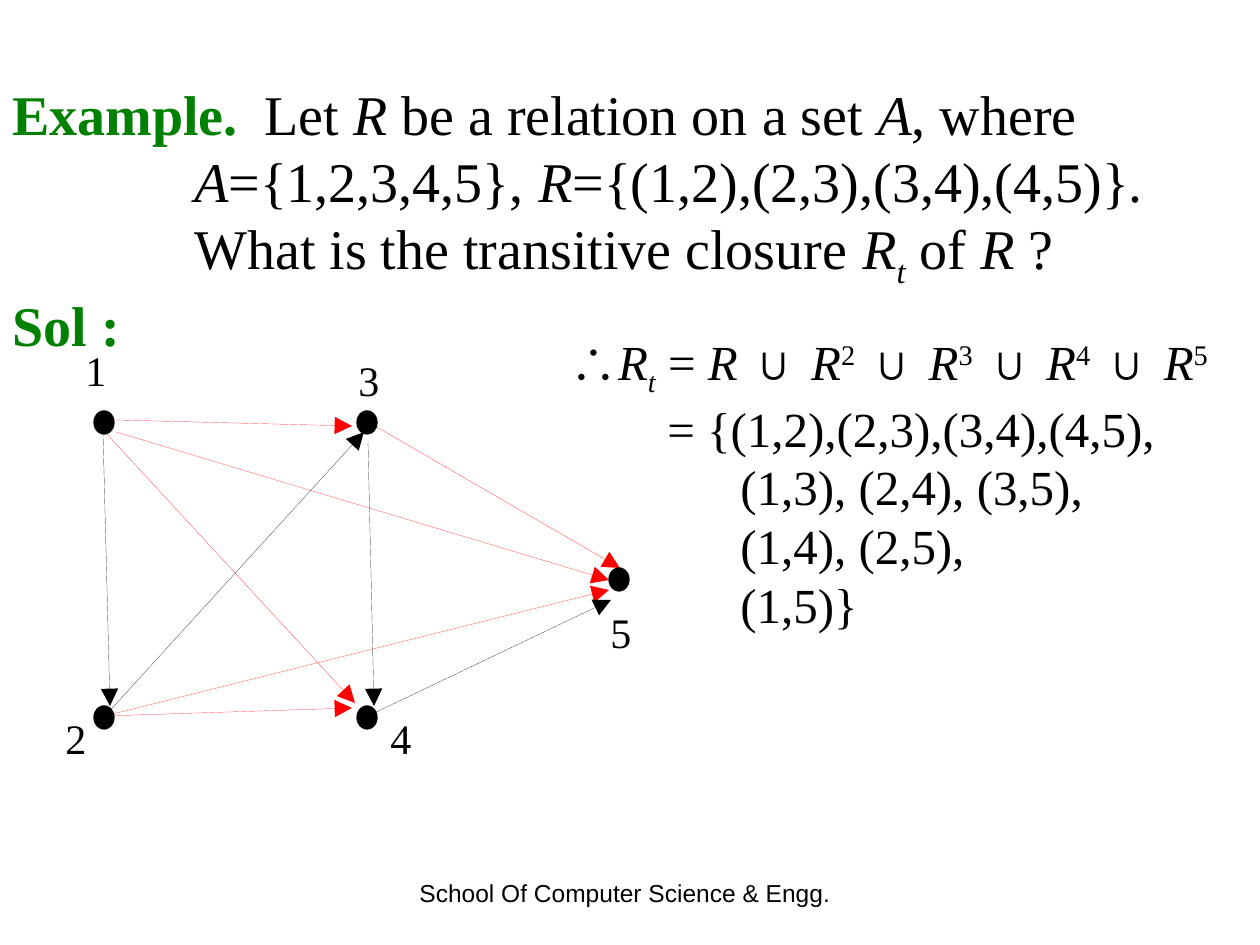
"""Build a slide on the transitive closure of a relation, with its directed graph."""
import pptx
import pptx.util
import pptx.dml.color
import pptx.enum.shapes
import pptx.enum.text
import pptx.oxml.ns
import lxml.etree

SCALE = 914400 / 126
THEME = {
    "black": pptx.dml.color.RGBColor(0, 0, 0),
    "red": pptx.dml.color.RGBColor(255, 0, 0),
    "green": pptx.dml.color.RGBColor(0, 128, 0),
    "serif": "Times New Roman", "sans": "Arial",
    "title": 32, "proof": 28, "label": 24, "foot": 14,
}
qn = pptx.oxml.ns.qn

deck = pptx.Presentation()
deck.slide_width, deck.slide_height = round(1260 * SCALE), round(945 * SCALE)
slide = deck.slides.add_slide(deck.slide_layouts[6])


def px(*nums):
    return [round(num * SCALE) for num in nums]


def write(area, lines, size, face="serif", wrap=True):
    box = slide.shapes.add_textbox(*px(*area))
    frame = box.text_frame
    frame.word_wrap = wrap
    for num, (left, runs) in enumerate(lines):
        para = frame.paragraphs[0] if num == 0 else frame.add_paragraph()
        props = para._p.get_or_add_pPr()
        props.set("marL", str(px(left)[0]))
        props.set("indent", "0")
        if any("\t" in text for text, _ in runs):
            tabs = lxml.etree.SubElement(props, qn("a:tabLst"))
            lxml.etree.SubElement(tabs, qn("a:tab"), pos=str(px(256)[0]), algn="l")
        para.font.size = pptx.util.Pt(THEME[size])
        para.font.name = THEME[face]
        para.font.color.rgb = THEME["black"]
        for text, style in runs:
            run = para.add_run()
            run.text = text
            if "i" in style:
                run.font.italic = True
            if "g" in style:
                run.font.bold = True
                run.font.color.rgb = THEME["green"]
            for mark, shift in (("_", "-25000"), ("^", "30000")):
                if mark in style:
                    run._r.get_or_add_rPr().set("baseline", shift)
    return frame


foot = write((315, 872, 620, 42), [(0, [("School Of Computer Science & Engg.", "")])],
             "foot", "sans")
foot.paragraphs[0].alignment = pptx.enum.text.PP_ALIGN.CENTER
foot.vertical_anchor = pptx.enum.text.MSO_ANCHOR.MIDDLE

write((0, 73, 1260, 281), [
    (0, [("Example.", "g"), ("\tLet ", ""), ("R", "i"),
         (" be a relation on a set ", ""), ("A", "i"), (", where", "")]),
    (182, [("A", "i"), ("={1,2,3,4,5}, ", ""), ("R", "i"),
           ("={(1,2),(2,3),(3,4),(4,5)}.", "")]),
    (182, [("What is the transitive closure ", ""), ("R", "i"), ("t", "i_"),
           (" of ", ""), ("R", "i"), (" ?", "")]),
    (0, [("Sol :", "g")]),
], "title")

edges = [
    ("red", 116, 420, 352, 426), ("red", 105, 716, 352, 708),
    ("red", 105, 432, 355, 703), ("red", 116, 432, 609, 580),
    ("red", 105, 716, 609, 590), ("red", 368, 422, 620, 568),
    ("black", 103, 432, 110, 706), ("black", 105, 716, 364, 432),
    ("black", 368, 442, 374, 706), ("black", 368, 716, 611, 600),
]
for hue, *ends in edges:
    edge = slide.shapes.add_connector(pptx.enum.shapes.MSO_CONNECTOR.STRAIGHT, *px(*ends))
    edge.line.color.rgb = THEME[hue]
    line = edge.line._get_or_add_ln()
    lxml.etree.SubElement(line, qn("a:tailEnd"), type="triangle", w="lg", len="lg")
    lxml.etree.SubElement(edge._element.spPr, qn("a:effectLst"))
    edge._element.remove(edge._element.find(qn("p:style")))

union = [("R", "i"), ("t", "i_"), (" = ", ""), ("R", "i")]
for power in "2345":
    union += [(" ∪ ", ""), ("R", "i"), (power, "^")]
write((557, 325, 680, 307), [
    (0, [("∴", "")] + union),
    (98, [("= {(1,2),(2,3),(3,4),(4,5),", "")]),
    (171, [("(1,3), (2,4), (3,5),", "")]),
    (171, [("(1,4), (2,5),", "")]),
    (171, [("(1,5)}", "")]),
], "proof")

nodes = [
    ("1", 94, 411, 73, 338), ("3", 357, 411, 346, 348), ("5", 609, 568, 598, 600),
    ("2", 94, 706, 53, 706), ("4", 357, 706, 378, 706),
]
for name, left, top, tagx, tagy in nodes:
    dot = slide.shapes.add_shape(pptx.enum.shapes.MSO_SHAPE.OVAL, *px(left, top, 20, 23))
    dot.shadow.inherit = False
    dot.fill.solid()
    dot.fill.fore_color.rgb = THEME["black"]
    dot.line.color.rgb = THEME["black"]
    dot.line.width = pptx.util.Pt(0.75)
    write((tagx, tagy, 47, 63), [(0, [(name, "")])], "label", wrap=False)

deck.save("out.pptx")
